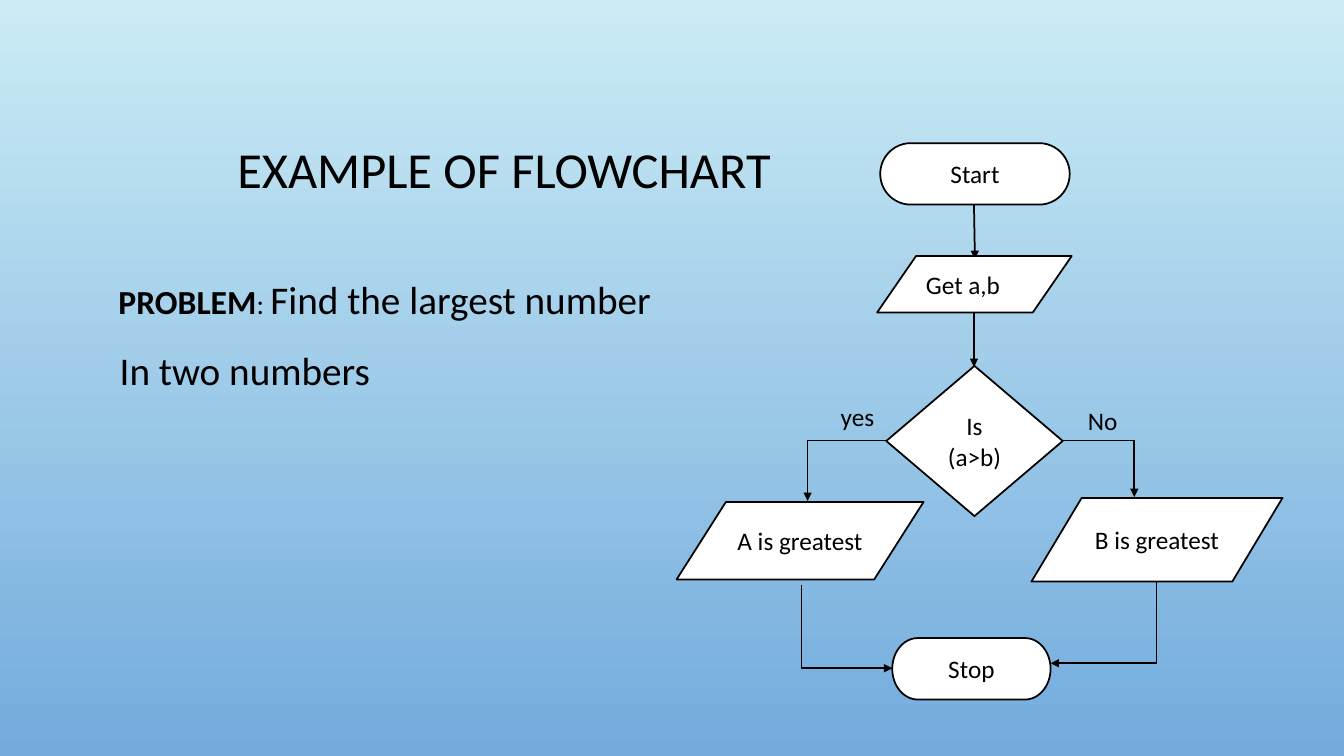
from dataclasses import dataclass

from lxml.etree import SubElement
from pptx import Presentation
from pptx.dml.color import RGBColor
from pptx.enum.shapes import MSO_CONNECTOR as Connector, MSO_SHAPE as Shape
from pptx.enum.text import MSO_ANCHOR as Anchor, MSO_AUTO_SIZE as AutoSize, PP_ALIGN as Align
from pptx.oxml.ns import qn
from pptx.util import Inches, Pt

COLOURS = {"sky": "CBECF5", "blue": "73ABDD", "box": "FFFFFF", "ink": "000000"}
FONT = "Calibri"
LINE_WIDTH = Pt(1.25)


@dataclass
class Node:
    text: str
    kind: Shape
    left: float
    top: float
    width: float
    height: float
    align: Align = Align.CENTER


@dataclass
class Link:
    start: tuple[float, float]
    end: tuple[float, float]
    arrow: bool = True


@dataclass
class Label:
    text: str
    left: float
    top: float
    width: float


NODES = [
    Node("Start", Shape.FLOWCHART_TERMINATOR, 8.73, 1.42, 1.88, 0.61),
    Node("Get a,b", Shape.FLOWCHART_DATA, 8.7, 2.54, 1.93, 0.56, Align.LEFT),
    Node("Is (a>b)", Shape.DIAMOND, 8.79, 3.63, 1.75, 1.49),
    Node("A is greatest", Shape.FLOWCHART_DATA, 6.71, 4.98, 2.45, 0.77),
    Node("B is greatest", Shape.FLOWCHART_DATA, 10.23, 4.94, 2.49, 0.83),
    Node("Stop", Shape.FLOWCHART_TERMINATOR, 8.85, 6.33, 1.57, 0.61),
]
STRAIGHT_LINKS = [
    Link((9.66, 2.03), (9.67, 2.57)),
    Link((9.66, 3.1), (9.66, 3.64)),
    Link((8.79, 4.37), (8.01, 4.37), arrow=False),
    Link((8.01, 4.37), (8.01, 4.97)),
    Link((10.54, 4.37), (11.25, 4.37), arrow=False),
    Link((11.25, 4.37), (11.25, 4.93)),
]
ELBOW_LINKS = [Link((7.95, 5.8), (8.85, 6.63)), Link((11.47, 5.76), (10.42, 6.58))]
LABELS = [Label("yes", 8.24, 3.93, 0.55), Label("No", 10.69, 3.97, 0.51)]
PROBLEM = [
    [(" ", 24, False), ("PROBLEM", 24, True), (": ", 20, False),
     ("Find the largest number", 28, False)],
    [(" In two numbers", 28, False)],
]


def colour(name: str) -> RGBColor:
    return RGBColor.from_string(COLOURS[name])


def place(shape, left: float, top: float, width: float, height: float) -> None:
    shape.left, shape.top = Inches(left), Inches(top)
    shape.width, shape.height = Inches(width), Inches(height)


def add_run(paragraph, text: str, size: float = 18, bold: bool = False) -> None:
    run = paragraph.add_run()
    run.text = text
    run.font.name, run.font.size, run.font.bold = FONT, Pt(size), bold
    run.font.color.rgb = colour("ink")


def style_link(connector, arrow: bool) -> None:
    connector.line.color.rgb = colour("ink")
    connector.line.width = LINE_WIDTH
    if arrow:
        SubElement(connector.line._get_or_add_ln(), qn("a:tailEnd"), type="triangle")
    SubElement(connector._element.spPr, qn("a:effectLst"))


def add_straight(slide, link: Link) -> None:
    points = [Inches(value) for value in (*link.start, *link.end)]
    style_link(slide.shapes.add_connector(Connector.STRAIGHT, *points), link.arrow)


def add_elbow(slide, link: Link) -> None:
    """Run down from the start, then sideways to the end."""
    (x1, y1), (x2, y2) = link.start, link.end
    # The preset runs sideways first, so its box is turned by a quarter
    width, height = abs(y2 - y1), abs(x2 - x1)
    left, top = (x1 + x2 - width) / 2, (y1 + y2 - height) / 2
    corners = [Inches(value) for value in (left, top, left + width, top + height)]
    connector = slide.shapes.add_connector(Connector.ELBOW, *corners)
    properties = connector._element.spPr
    properties.find(qn("a:prstGeom")).set("prst", "bentConnector2")
    transform = properties.find(qn("a:xfrm"))
    goes_right = x2 > x1
    transform.set("rot", str((270 if goes_right else 90) * 60000))
    if goes_right:
        transform.set("flipH", "1")
    style_link(connector, link.arrow)


def add_node(slide, node: Node) -> None:
    box = (node.left, node.top, node.width, node.height)
    shape = slide.shapes.add_shape(node.kind, *[Inches(value) for value in box])
    shape.shadow.inherit = False
    shape.fill.solid()
    shape.fill.fore_color.rgb = colour("box")
    shape.line.color.rgb = colour("ink")
    shape.line.width = LINE_WIDTH
    frame = shape.text_frame
    frame.word_wrap = True
    frame.vertical_anchor = Anchor.MIDDLE
    frame.paragraphs[0].alignment = node.align
    add_run(frame.paragraphs[0], node.text)


def add_label(slide, label: Label) -> None:
    box = (label.left, label.top, label.width, 0.4)
    frame = slide.shapes.add_textbox(*[Inches(value) for value in box]).text_frame
    frame.word_wrap = False
    frame.auto_size = AutoSize.SHAPE_TO_FIT_TEXT
    add_run(frame.paragraphs[0], label.text)


def fill_background(slide) -> None:
    fill = slide.background.fill
    fill.gradient()
    fill.gradient_angle = 270
    for stop, name, position in zip(fill.gradient_stops, ("sky", "blue"), (0, 1)):
        stop.color.rgb = colour(name)
        stop.position = position


def fill_title(slide) -> None:
    title = slide.shapes.title
    place(title, 1.62, 0.75, 6.76, 1.92)
    frame = title.text_frame
    frame.auto_size = AutoSize.NONE
    frame.vertical_anchor = Anchor.MIDDLE
    paragraph = frame.paragraphs[0]
    paragraph.alignment = Align.CENTER
    paragraph.line_spacing = 0.9
    add_run(paragraph, "EXAMPLE OF FLOWCHART", 36)


def fill_body(slide) -> None:
    body = slide.placeholders[1]
    place(body, 1, 2.59, 11.33, 3.74)
    frame = body.text_frame
    frame.auto_size = AutoSize.NONE
    for index, runs in enumerate(PROBLEM):
        paragraph = frame.add_paragraph() if index else frame.paragraphs[0]
        paragraph.line_spacing = 1.2
        paragraph.space_before = Pt(10)
        properties = paragraph._p.get_or_add_pPr()
        properties.set("marL", "0")
        properties.set("indent", "0")
        SubElement(properties, qn("a:buNone"))
        for text, size, bold in runs:
            add_run(paragraph, text, size, bold)


def main() -> None:
    presentation = Presentation()
    presentation.slide_width, presentation.slide_height = Inches(13.33), Inches(7.5)
    slide = presentation.slides.add_slide(presentation.slide_layouts[1])

    # Background and text
    fill_background(slide)
    fill_title(slide)
    fill_body(slide)

    # Flowchart: links lie behind the nodes
    for link in STRAIGHT_LINKS:
        add_straight(slide, link)
    for link in ELBOW_LINKS:
        add_elbow(slide, link)
    for node in NODES:
        add_node(slide, node)
    for label in LABELS:
        add_label(slide, label)

    presentation.save("out.pptx")


if __name__ == "__main__":
    main()
